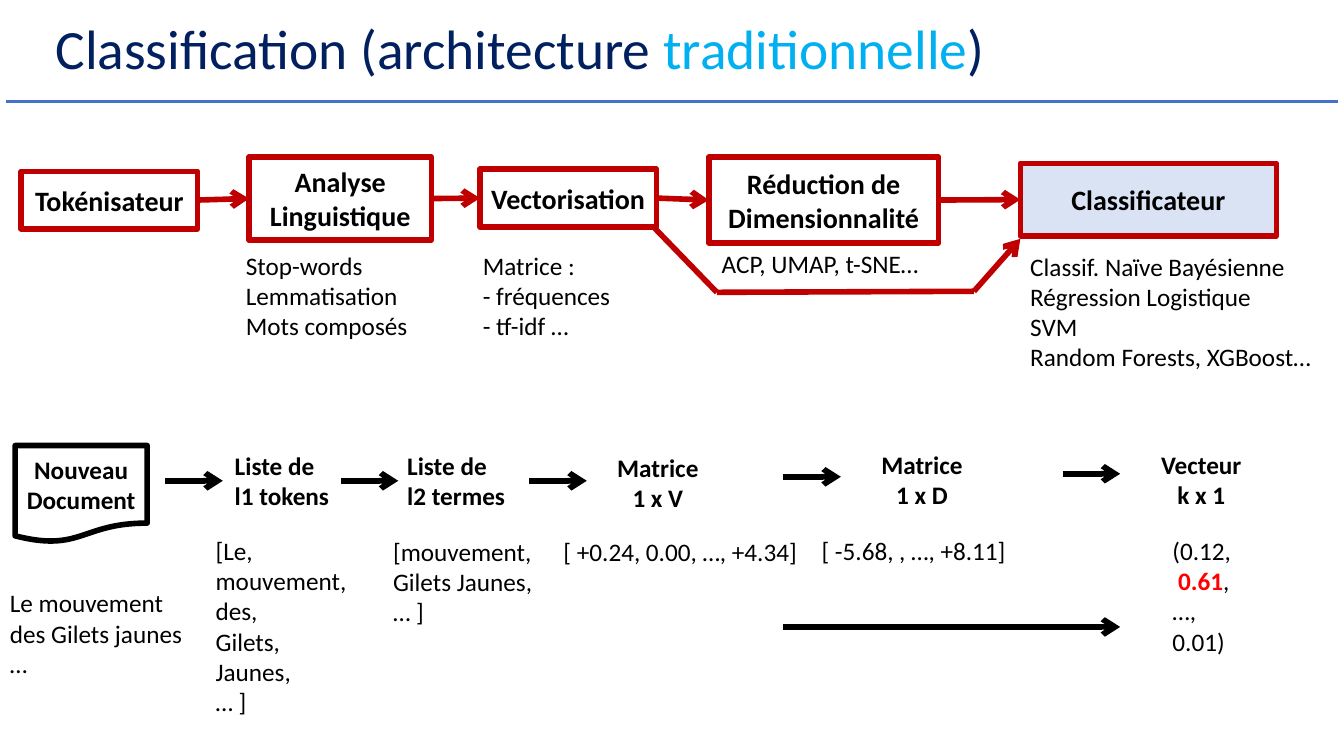
from dataclasses import dataclass
from itertools import pairwise

from lxml.etree import SubElement
from pptx import Presentation
from pptx.dml.color import RGBColor
from pptx.enum.shapes import MSO_CONNECTOR as Connector, MSO_SHAPE as Shape
from pptx.enum.text import MSO_ANCHOR as Anchor, MSO_AUTO_SIZE as AutoSize, PP_ALIGN as Align
from pptx.oxml.ns import qn
from pptx.util import Pt

PX = 9144  # 100 px to the inch
TOP, LEFT, BOTTOM, RIGHT = range(4)


@dataclass(frozen=True)
class Theme:
    font: str = "Calibri"
    ink: str = "000000"
    paper: str = "FFFFFF"
    navy: str = "002060"
    sky: str = "00B0F0"
    rule: str = "4472C4"
    stage: str = "C00000"
    classifier: str = "DAE3F3"
    winner: str = "FF0000"
    title_size: float = 39.6
    stage_size: float = 20
    body_size: float = 18
    rule_width: float = 2
    line_width: float = 4


@dataclass(frozen=True)
class Box:
    left: int
    top: int
    width: int
    height: int

    def area(self, left, top, width, height):
        return Box(self.left + left, self.top + top, width, height)

    def emu(self):
        return [value * PX for value in (self.left, self.top, self.width, self.height)]


THEME = Theme()


def color(code):
    return RGBColor.from_string(code)


def format_span(span, size, ink=THEME.ink, bold=False):
    span.font.name = THEME.font
    span.font.size = Pt(size)
    span.font.bold = bold
    span.font.color.rgb = color(ink)


def fill_text(frame, lines, size, bold=False, align=Align.LEFT):
    frame.word_wrap = True
    frame.text = "\n".join(lines)
    for para in frame.paragraphs:
        para.alignment = align
        for span in para.runs:
            format_span(span, size, bold=bold)


def add_text(page, box, lines, bold=False, align=Align.LEFT):
    frame = page.shapes.add_textbox(*box.emu()).text_frame
    fill_text(frame, lines, THEME.body_size, bold, align)
    return frame


def add_node(page, kind, box, lines, size, fill, ink):
    node = page.shapes.add_shape(kind, *box.emu())
    node.shadow.inherit = False
    node.fill.solid()
    node.fill.fore_color.rgb = color(fill)
    node.line.color.rgb = color(ink)
    node.line.width = Pt(THEME.line_width)
    frame = node.text_frame
    frame.margin_left = frame.margin_right = 0
    frame.vertical_anchor = Anchor.MIDDLE
    fill_text(frame, lines, size, bold=True, align=Align.CENTER)
    return node


def add_line(page, start, end, ink, width=THEME.line_width, arrow=True):
    ends = [value * PX for value in (*start, *end)]
    line = page.shapes.add_connector(Connector.STRAIGHT, *ends)
    line.line.color.rgb = color(ink)
    line.line.width = Pt(width)
    properties = line._element.spPr
    if arrow:
        SubElement(properties.find(qn("a:ln")), qn("a:tailEnd"), type="arrow")
    SubElement(properties, qn("a:effectLst"))
    return line


def build_header(page, box):
    # Rule under the title
    rule_y = box.top + box.height
    add_line(page, (box.left + 6, rule_y), (box.left + 1327, rule_y),
             THEME.rule, THEME.rule_width, arrow=False)
    # Title in three coloured spans
    title = page.shapes.title
    title.left, title.top, title.width, title.height = box.area(45, 15, 1253, 72).emu()
    frame = title.text_frame
    frame.auto_size = AutoSize.NONE
    frame.word_wrap = True
    frame.vertical_anchor = Anchor.MIDDLE
    para = frame.paragraphs[0]
    para.alignment = Align.LEFT
    para.line_spacing = 0.9
    for words, ink in (("Classification (architecture ", THEME.navy),
                       ("traditionnelle", THEME.sky), (")", THEME.navy)):
        span = para.add_run()
        span.text = words
        format_span(span, THEME.title_size, ink)


def build_pipeline(page, box):
    # Processing stages
    stages = [
        add_node(page, Shape.RECTANGLE, box.area(*place), lines, THEME.stage_size, fill, THEME.stage)
        for place, lines, fill in (
            ((21, 20, 175, 57), ["Tokénisateur"], THEME.paper),
            ((247, 6, 181, 82), ["Analyse", "Linguistique"], THEME.paper),
            ((476, 18, 175, 57), ["Vectorisation"], THEME.paper),
            ((703, 6, 228, 85), ["Réduction de", "Dimensionnalité"], THEME.paper),
            ((1012, 12, 254, 72), ["Classificateur"], THEME.classifier),
        )
    ]
    # Arrows from each stage to the next
    for before, after in pairwise(stages):
        arrow = add_line(page, (0, 0), (0, 0), THEME.stage)
        arrow.begin_connect(before, RIGHT)
        arrow.end_connect(after, LEFT)
    # Detour around the dimension reduction
    detour = [(box.left + x, box.top + y) for x, y in ((649, 76), (711, 140), (966, 139), (1012, 87))]
    for start, end in pairwise(detour):
        add_line(page, start, end, THEME.stage, arrow=end == detour[-1])
    # Methods under the stages
    for place, lines in (
        ((234, 93, 185, 101), ["Stop-words", "Lemmatisation", "Mots composés"]),
        ((469, 93, 185, 101), ["Matrice :", "- fréquences", "- tf-idf …"]),
        ((706, 91, 228, 40), ["ACP, UMAP, t-SNE…"]),
        ((1012, 94, 313, 131), ["Classif. Naïve Bayésienne", "Régression Logistique", "SVM",
                                "Random Forests, XGBoost…"]),
    ):
        add_text(page, box.area(*place), lines)


def build_example(page, box):
    # New document
    add_node(page, Shape.FLOWCHART_DOCUMENT, box.area(15, 2, 131, 96),
             ["Nouveau", "Document"], THEME.body_size, THEME.paper, THEME.ink)
    # Name of each representation
    for place, lines, align in (
        ((223, 2, 117, 71), ["Liste de", "l1 tokens"], Align.LEFT),
        ((394, 2, 126, 71), ["Liste de", "l2 termes"], Align.LEFT),
        ((599, 4, 107, 71), ["Matrice", "1 x V"], Align.CENTER),
        ((861, 1, 107, 71), ["Matrice", "1 x D"], Align.CENTER),
        ((1138, 1, 107, 71), ["Vecteur", "k x 1"], Align.CENTER),
    ):
        add_text(page, box.area(*place), lines, bold=True, align=align)
    # Its value for the sample document
    for place, lines in (
        ((0, 138, 197, 101), ["Le mouvement des Gilets jaunes …"]),
        ((204, 86, 158, 192), ["[Le,", "mouvement,", "des,", "Gilets,", "Jaunes,", "… ]"]),
        ((380, 87, 158, 101), ["[mouvement,", "Gilets Jaunes,", "… ]"]),
        ((549, 87, 280, 40), ["[ +0.24, 0.00, …, +4.34]"]),
        ((805, 86, 280, 40), ["[ -5.68, , …, +8.11]"]),
    ):
        add_text(page, box.area(*place), lines)
    # Class scores, with the highest one marked
    scores = add_text(page, box.area(1153, 86, 96, 131), ["(0.12,", " ", "…,", "0.01)"])
    best = scores.paragraphs[1]
    for words, ink, bold in (("0.61", THEME.winner, True), (",", THEME.ink, False)):
        span = best.add_run()
        span.text = words
        format_span(span, THEME.body_size, ink, bold)
    # Arrows between the representations
    for left, y, length in ((164, 37, 57), (338, 37, 57), (525, 37, 57),
                            (777, 33, 57), (1054, 30, 57), (777, 182, 334)):
        start = (box.left + left, box.top + y)
        add_line(page, start, (start[0] + length, start[1]), THEME.ink)


def main():
    deck = Presentation()
    deck.slide_width, deck.slide_height = 1333 * PX, 750 * PX
    page = deck.slides.add_slide(deck.slide_layouts[5])
    build_header(page, Box(0, 0, 1333, 101))
    build_pipeline(page, Box(0, 150, 1333, 225))
    build_example(page, Box(0, 440, 1333, 280))
    deck.save("out.pptx")


if __name__ == "__main__":
    main()
